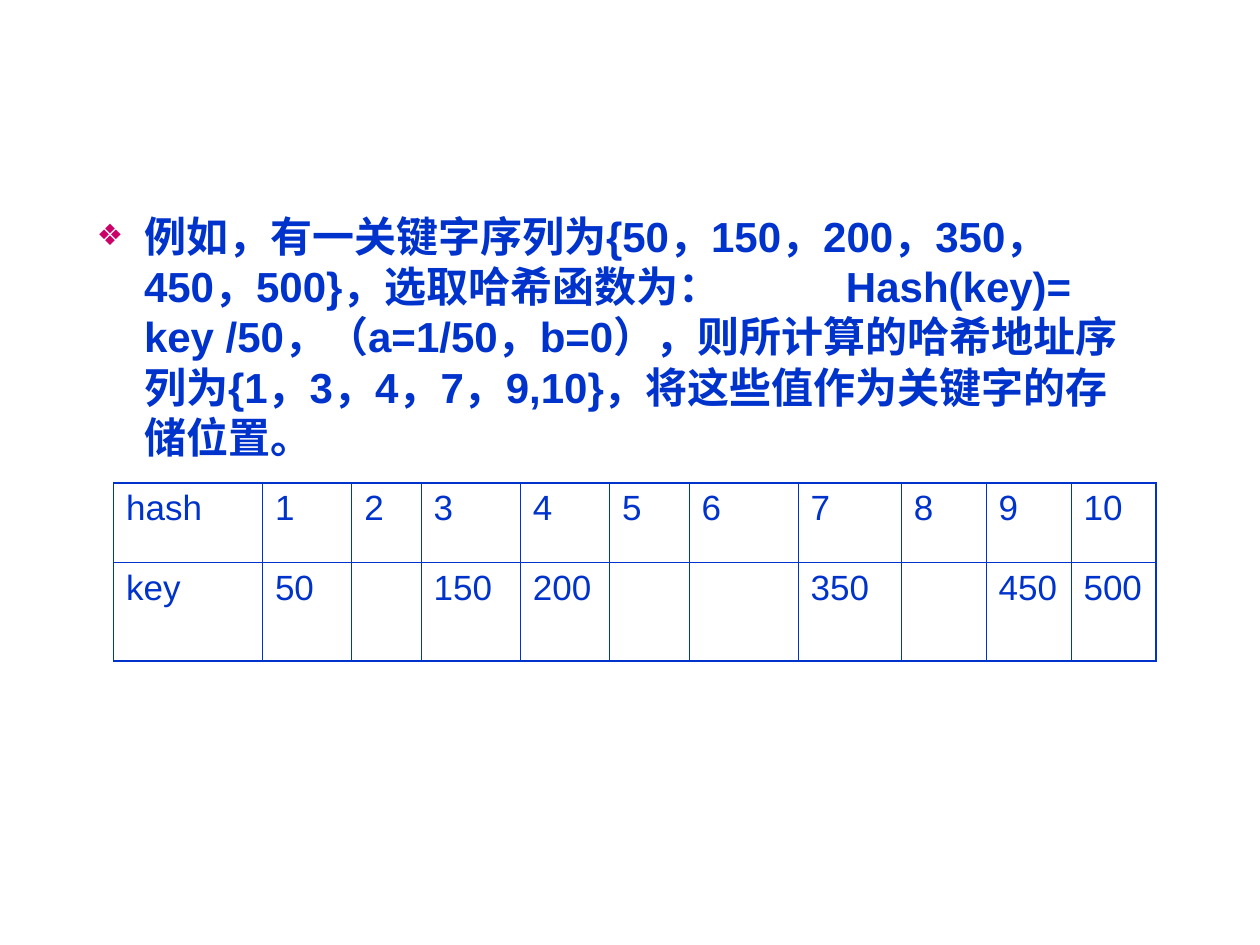
from lxml import etree
from pptx import Presentation
from pptx.dml.color import RGBColor
from pptx.enum.text import MSO_ANCHOR, PP_ALIGN
from pptx.oxml.ns import qn
from pptx.util import Cm, Pt

LEFT = PP_ALIGN.LEFT
TOP = MSO_ANCHOR.TOP
BLUE = "0033CC"
PINK = "CC0066"
THIN, THICK = 0.45, 1.08

EXAMPLE = (
    "例如，有一关键字序列为{50，150，200，350，450，500}，选取哈希函数为：\t"
    "Hash(key)= key /50，（a=1/50，b=0），则所计算的哈希地址序列为"
    "{1，3，4，7，9,10}，将这些值作为关键字的存储位置。"
)
HASH_KEYS = {1: 50, 3: 150, 4: 200, 7: 350, 9: 450, 10: 500}
ADDRESSES = range(1, 11)
ROWS = [
    ["hash", *map(str, ADDRESSES)],
    ["key", *(str(HASH_KEYS.get(address, "")) for address in ADDRESSES)],
]
COLUMN_WIDTHS = [3, 1.8, 1.4, 2, 1.8, 1.6, 2.2, 2.08, 1.71, 1.71, 1.71]
ROW_HEIGHTS = [1.6, 2]


def color(value):
    return RGBColor.from_string(value)


def add_element(parent, tag, **attributes):
    element = etree.SubElement(parent, qn(tag))
    for name, value in attributes.items():
        element.set(name, str(value))
    return element


def add_bullet(paragraph, character, bullet_color, percent, indent, tab):
    properties = paragraph._p.get_or_add_pPr()
    properties.set("marL", str(Cm(indent)))
    properties.set("indent", str(-Cm(indent)))
    add_element(add_element(properties, "a:buClr"), "a:srgbClr", val=bullet_color)
    add_element(properties, "a:buSzPct", val=percent * 1000)
    add_element(properties, "a:buFont", typeface="Arial")
    add_element(properties, "a:buChar", char=character)
    add_element(add_element(properties, "a:tabLst"), "a:tab", pos=Cm(tab), algn="l")


def write_text(frame, text, size=20, bold=False, bullet=None):
    frame.word_wrap = True
    paragraph = frame.paragraphs[0]
    if bullet:
        add_bullet(paragraph, **bullet)
    paragraph.alignment = LEFT
    paragraph.space_before = Pt(0)
    paragraph.font.size = Pt(size)
    if text:
        run = paragraph.add_run()
        run.text = text
        run.font.name = "Arial"
        run.font.size = Pt(size)
        run.font.bold = bold
        run.font.color.rgb = color(BLUE)


def set_borders(cell, **widths):
    properties = cell._tc.get_or_add_tcPr()
    for position, (side, width) in enumerate(widths.items()):
        line = add_element(properties, f"a:ln{side}", w=Pt(width))
        add_element(add_element(line, "a:solidFill"), "a:srgbClr", val=BLUE)
        properties.insert(position, line)


def add_hash_table(slide):
    row_count, column_count = len(ROWS), len(COLUMN_WIDTHS)
    table = slide.shapes.add_table(
        row_count, column_count, Cm(2.29), Cm(9.73),
        Cm(sum(COLUMN_WIDTHS)), Cm(sum(ROW_HEIGHTS)),
    ).table
    table.first_row = table.horz_banding = False
    for column, width in zip(table.columns, COLUMN_WIDTHS):
        column.width = Cm(width)
    for row, height in zip(table.rows, ROW_HEIGHTS):
        row.height = Cm(height)
    for row_index, values in enumerate(ROWS):
        for column_index, value in enumerate(values):
            cell = table.cell(row_index, column_index)
            cell.fill.background()
            write_text(cell.text_frame, value)
            set_borders(
                cell,
                L=THICK if column_index == 0 else THIN,
                R=THICK if column_index == column_count - 1 else THIN,
                T=THICK if row_index == 0 else THIN,
                B=THICK if row_index == row_count - 1 else THIN,
            )


def main():
    """Build the slide with a worked hash function and its address table."""
    presentation = Presentation()
    presentation.slide_width, presentation.slide_height = Cm(25.4), Cm(19.05)
    slide = presentation.slides.add_slide(presentation.slide_layouts[1])
    title, body = slide.placeholders
    title.element.getparent().remove(title.element)
    body.left, body.top, body.width, body.height = Cm(1.7), Cm(4.11), Cm(21.62), Cm(10.8)
    body.text_frame.vertical_anchor = TOP
    bullet = dict(character="❖", bullet_color=PINK, percent=70, indent=0.95, tab=15.1)
    write_text(body.text_frame, EXAMPLE, size=24, bold=True, bullet=bullet)
    add_hash_table(slide)
    presentation.save("out.pptx")


if __name__ == "__main__":
    main()
